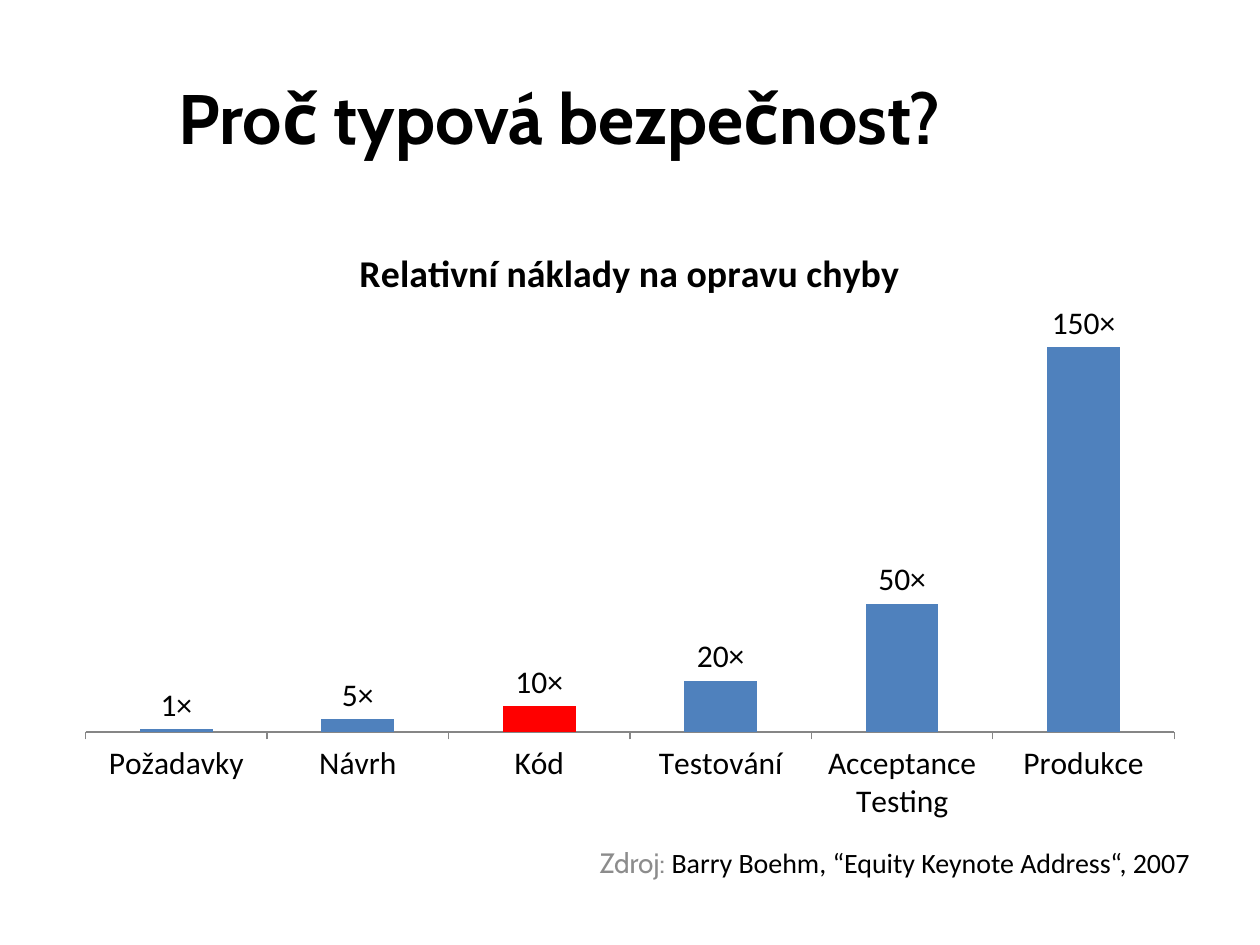
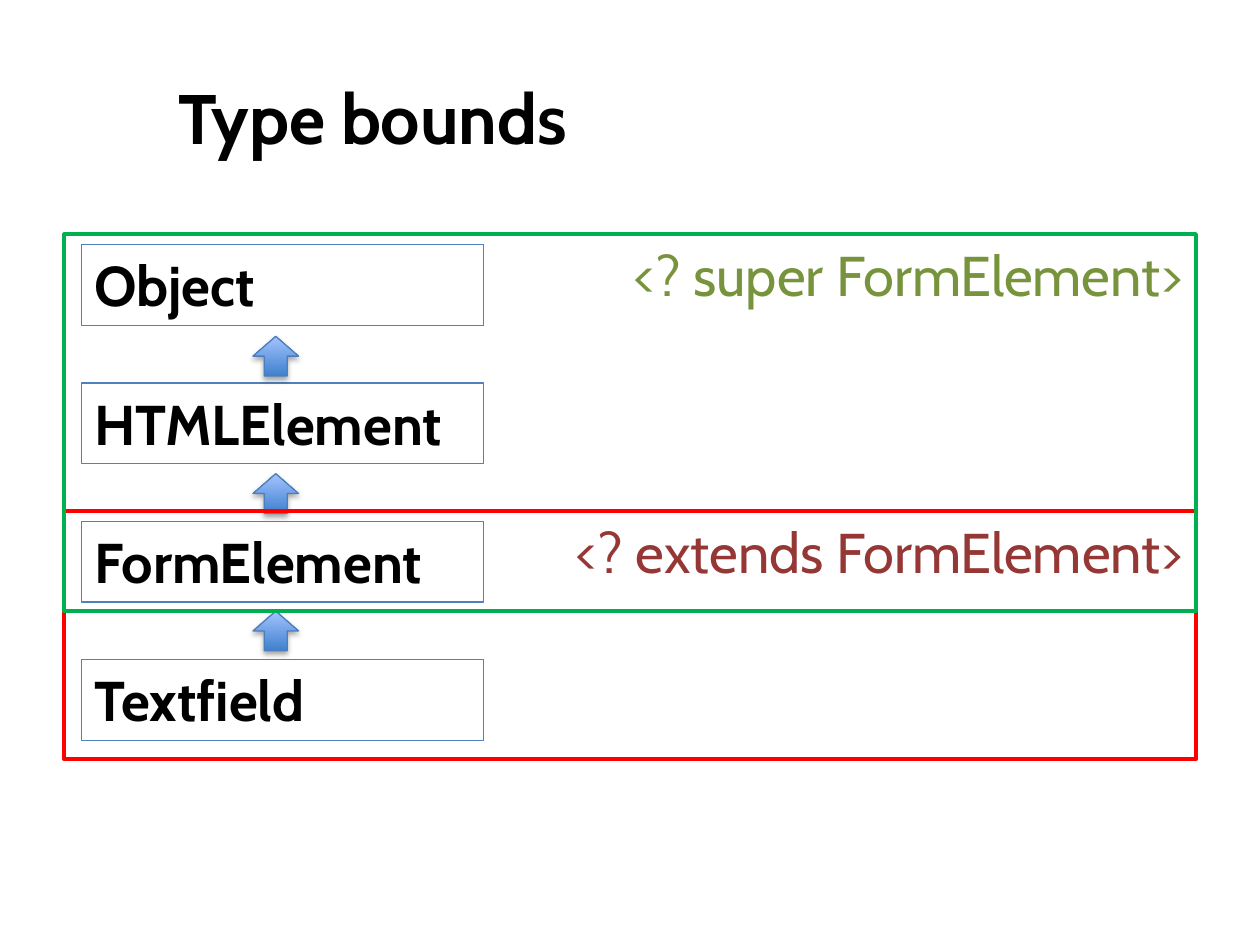
from dataclasses import dataclass
from typing import Any

from lxml.etree import SubElement
from pptx import Presentation
from pptx.chart.data import CategoryChartData
from pptx.dml.color import RGBColor
from pptx.enum.chart import XL_CHART_TYPE, XL_LABEL_POSITION, XL_TICK_MARK
from pptx.enum.shapes import MSO_SHAPE
from pptx.enum.text import MSO_ANCHOR, PP_ALIGN
from pptx.oxml.ns import qn
from pptx.util import Cm, Pt

BLACK, BLUE, RED, GREEN = "000000", "4F81BD", "FF0000", "00B050"
HEAD, BODY = "Cabin", "Calibri"
TIMES = r"#,###\×"


@dataclass
class Area:
    """A place on the slide, in centimetres."""
    left: float
    top: float
    width: float
    height: float

    def emu(self) -> tuple:
        return tuple(Cm(n) for n in (self.left, self.top, self.width, self.height))


@dataclass
class Run:
    text: str
    size: float
    color: str = BLACK
    font: str = HEAD
    bold: bool = False


@dataclass
class Panel:
    """An unfilled rectangle with one line of text."""
    area: Area
    run: Run
    line: str
    width: float
    align: Any = PP_ALIGN.LEFT


TITLE = Area(3.35, 0.76, 20.78, 3.18)
CHART = Area(1.27, 4.45, 22.86, 12.34)
SOURCE = Area(11.51, 16.92, 12.73, 0.94)

COSTS = {"Požadavky": 1, "Návrh": 5, "Kód": 10, "Testování": 20,
         "Acceptance Testing": 50, "Produkce": 150}
TYPES = ("Object", "HTMLElement", "FormElement", "Textfield")

BOXES = [
    Panel(Area(1.65, 4.93 + 2.79 * i, 8.1, 1.63), Run(name, 32, bold=True), BLUE, 0.75)
    for i, name in enumerate(TYPES)
]
ARROWS = [Area(5.1, 6.78 + 2.77 * i, 0.92, 0.8) for i in range(len(TYPES) - 1)]
FRAMES = [
    Panel(Area(1.3, 10.31, 22.81, 5), Run("<? extends FormElement>", 32, "953735"),
          RED, 2.25, PP_ALIGN.RIGHT),
    Panel(Area(1.3, 4.72, 22.81, 7.6), Run("<? super FormElement>", 32, "77933C"),
          GREEN, 2.25, PP_ALIGN.RIGHT),
]


def rgb(code: str) -> RGBColor:
    return RGBColor.from_string(code)


def apply(item: Any, values: dict) -> None:
    for name, value in values.items():
        setattr(item, name, value)


def style(font: Any, look: Run) -> None:
    apply(font, {"size": Pt(look.size), "name": look.font, "bold": look.bold})
    font.color.rgb = rgb(look.color)


def write(frame: Any, runs: list[Run], align: Any = PP_ALIGN.LEFT,
          anchor: Any = MSO_ANCHOR.TOP, wrap: bool = True) -> None:
    apply(frame, {"word_wrap": wrap, "vertical_anchor": anchor})
    line = frame.paragraphs[0]
    line.alignment = align
    for look in runs:
        run = line.add_run()
        run.text = look.text
        style(run.font, look)


def add_page(deck: Any, title: str) -> Any:
    page = deck.slides.add_slide(deck.slide_layouts[6])
    box = page.shapes.add_textbox(*TITLE.emu())
    write(box.text_frame, [Run(title, 40, bold=True)], anchor=MSO_ANCHOR.MIDDLE)
    return page


def add_shape(page: Any, kind: Any, area: Area, line: str, width: float) -> Any:
    shape = page.shapes.add_shape(kind, *area.emu())
    shape.shadow.inherit = False
    shape.line.color.rgb = rgb(line)
    shape.line.width = Pt(width)
    return shape


def add_panel(page: Any, panel: Panel) -> None:
    shape = add_shape(page, MSO_SHAPE.RECTANGLE, panel.area, panel.line, panel.width)
    shape.fill.background()
    write(shape.text_frame, [panel.run], panel.align)


def add_arrow(page: Any, area: Area) -> None:
    shape = add_shape(page, MSO_SHAPE.UP_ARROW, area, "4B7EBC", 0.75)
    shape.fill.gradient()
    shape.fill.gradient_angle = 90
    for stop, code in zip(shape.fill.gradient_stops, ("3F80CE", "A4C4FF")):
        stop.color.rgb = rgb(code)
    effects = shape._element.spPr.find(qn("a:effectLst"))
    shade = SubElement(effects, qn("a:outerShdw"), blurRad=str(Pt(3.1)),
                       dist=str(Pt(1.8)), dir="5400000", rotWithShape="0")
    tint = SubElement(shade, qn("a:srgbClr"), val=BLACK)
    SubElement(tint, qn("a:alpha"), val="35000")


def add_costs(page: Any) -> None:
    data = CategoryChartData()
    data.categories = list(COSTS)
    data.add_series("Series 1", list(COSTS.values()))
    chart = page.shapes.add_chart(
        XL_CHART_TYPE.COLUMN_CLUSTERED, *CHART.emu(), data).chart
    style(chart.font, Run("", 18, font=BODY))
    chart.has_legend = False
    write(chart.chart_title.text_frame,
          [Run("Relativní náklady na opravu chyby", 21.6, font=BODY, bold=True)],
          PP_ALIGN.CENTER)

    apply(chart.value_axis, {"visible": False, "has_major_gridlines": False,
                             "minimum_scale": 0, "maximum_scale": 160})
    chart.category_axis.major_tick_mark = XL_TICK_MARK.OUTSIDE
    chart.category_axis.format.line.color.rgb = rgb("868686")

    plot = chart.plots[0]
    apply(plot, {"gap_width": 150, "vary_by_categories": False,
                 "has_data_labels": True})
    apply(plot.data_labels, {"show_value": True, "number_format": TIMES,
                             "number_format_is_linked": False,
                             "position": XL_LABEL_POSITION.OUTSIDE_END})
    bars = plot.series[0]
    code = bars.points[list(COSTS).index("Kód")]
    for item, color in ((bars, BLUE), (code, RED)):
        item.format.fill.solid()
        item.format.fill.fore_color.rgb = rgb(color)


def main() -> None:
    deck = Presentation()
    apply(deck, {"slide_width": Cm(25.4), "slide_height": Cm(19.05)})

    page = add_page(deck, "Proč typová bezpečnost?")
    add_costs(page)
    note = page.shapes.add_textbox(*SOURCE.emu())
    write(note.text_frame,
          [Run("Zdroj: ", 16, "8C8C8C"),
           Run("Barry Boehm, “Equity Keynote Address“, 2007", 16, font=BODY)],
          PP_ALIGN.RIGHT, wrap=False)

    page = add_page(deck, "Type bounds")
    for box in BOXES:
        add_panel(page, box)
    for area in ARROWS:
        add_arrow(page, area)
    for frame in FRAMES:
        add_panel(page, frame)

    deck.save("out.pptx")


if __name__ == "__main__":
    main()
